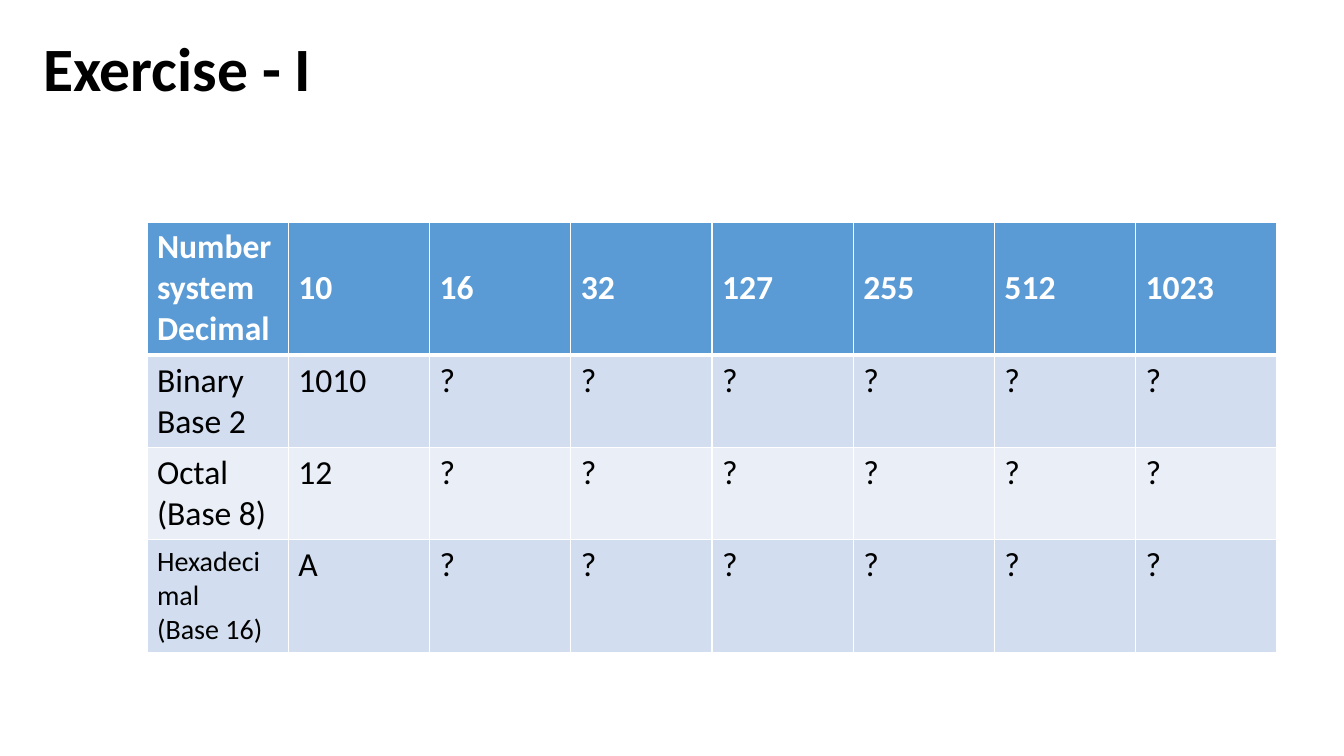
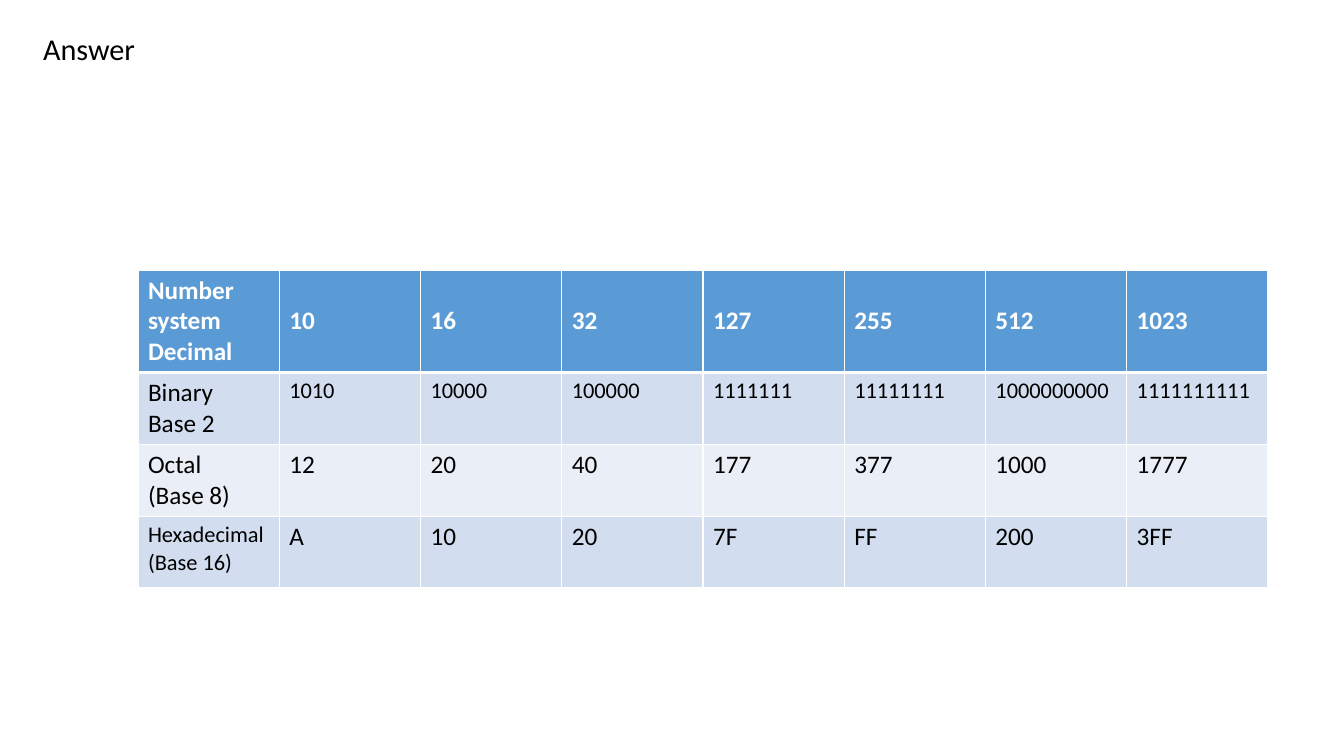
from dataclasses import dataclass

from lxml import etree
from pptx import Presentation
from pptx import util as u
from pptx.dml.color import RGBColor
from pptx.enum import text
from pptx.oxml.ns import qn


# Shared look
@dataclass(frozen=True)
class Theme:
    font: str = "Calibri"
    ink: str = "000000"
    paper: str = "FFFFFF"
    header: str = "5B9BD5"
    bands: tuple[str, str] = ("D2DEEF", "EAEFF7")
    rule: int = 1
    header_rule: int = 3


THEME = Theme()
EMU_PER_PX = 914400 / 100.8
DECIMALS = (10, 16, 32, 127, 255, 512, 1023)
HEADER_LABEL = ("Number system", "Decimal")


@dataclass(frozen=True)
class Base:
    label: tuple[str, str]
    code: str


BASES = (
    Base(("Binary", "Base 2"), "b"),
    Base(("Octal", "(Base 8)"), "o"),
    Base(("Hexadecimal", "(Base 16)"), "X"),
)


# What differs from slide to slide
@dataclass(frozen=True)
class Heading:
    words: str
    top: int
    height: int
    size: float
    bold: bool
    spacing: float


@dataclass(frozen=True)
class Exercise:
    heading: Heading
    left: int
    top: int
    row_heights: tuple[int, ...]
    header_size: int
    label_sizes: tuple[int, ...]
    value_sizes: tuple[int, ...]
    solved: int  # how many columns show their answer


EXERCISES = (
    Exercise(Heading("Exercise - I", 33, 152, 44, True, 0.9),
             147, 222, (132, 92, 92, 112), 24, (24, 24, 20), (24, 24, 24), 1),
    Exercise(Heading("Answer", 35, 96, 21.6, False, 0.7),
             138, 270, (102, 72, 72, 71), 18, (18, 18, 16), (16, 18, 18), len(DECIMALS)),
)


def px(length: float) -> u.Emu:
    return u.Emu(round(length * EMU_PER_PX))


def style_font(font, size: float, bold: bool, color: str) -> None:
    for name, value in {"name": THEME.font, "size": u.Pt(size), "bold": bold}.items():
        setattr(font, name, value)
    font.color.rgb = RGBColor.from_string(color)


def add_heading(slide, heading: Heading) -> None:
    title = slide.shapes.title
    place = {"left": 33, "top": heading.top, "width": 806, "height": heading.height}
    for name, value in place.items():
        setattr(title, name, px(value))
    frame = title.text_frame
    frame.text = heading.words
    frame.auto_size = text.MSO_AUTO_SIZE.NONE
    frame.vertical_anchor = text.MSO_ANCHOR.TOP
    line = frame.paragraphs[0]
    line.alignment = text.PP_ALIGN.LEFT
    line.line_spacing = heading.spacing
    style_font(line.runs[0].font, heading.size, heading.bold, THEME.ink)


def add_borders(cell, top: int, bottom: int) -> None:
    properties = cell._tc.get_or_add_tcPr()
    widths = {"a:lnL": THEME.rule, "a:lnR": THEME.rule, "a:lnT": top, "a:lnB": bottom}
    for side, width in widths.items():
        border = etree.SubElement(properties, qn(side), w=str(u.Pt(width)))
        fill = etree.SubElement(border, qn("a:solidFill"))
        etree.SubElement(fill, qn("a:srgbClr"), val=THEME.paper)


def fill_cell(cell, lines: tuple[str, ...], size: int, row: int) -> None:
    is_header = row == 0
    add_borders(cell,
                top=THEME.header_rule if row == 1 else THEME.rule,
                bottom=THEME.header_rule if is_header else THEME.rule)
    cell.fill.solid()
    background = THEME.header if is_header else THEME.bands[(row - 1) % 2]
    cell.fill.fore_color.rgb = RGBColor.from_string(background)
    cell.vertical_anchor = text.MSO_ANCHOR.MIDDLE if is_header else text.MSO_ANCHOR.TOP
    cell.text_frame.text = "\n".join(lines)
    for line in cell.text_frame.paragraphs:
        style_font(line.runs[0].font, size, is_header, THEME.paper if is_header else THEME.ink)


def add_number_table(slide, exercise: Exercise) -> None:
    grid = slide.shapes.add_table(
        len(BASES) + 1, len(DECIMALS) + 1, px(exercise.left), px(exercise.top),
        px(1130), px(sum(exercise.row_heights))).table
    for row, height in zip(grid.rows, exercise.row_heights):
        row.height = px(height)

    # Header row: the decimal numbers
    for column, words in enumerate([HEADER_LABEL, *((str(n),) for n in DECIMALS)]):
        fill_cell(grid.cell(0, column), words, exercise.header_size, 0)

    # One row for each base
    sizes = zip(BASES, exercise.label_sizes, exercise.value_sizes)
    for row, (base, label_size, value_size) in enumerate(sizes, 1):
        fill_cell(grid.cell(row, 0), base.label, label_size, row)
        for column, number in enumerate(DECIMALS, 1):
            answer = format(number, base.code) if column <= exercise.solved else "?"
            fill_cell(grid.cell(row, column), (answer,), value_size, row)


def main() -> None:
    deck = Presentation()
    deck.slide_width, deck.slide_height = px(1344), px(756)
    title_only = deck.slide_layouts[5]
    for exercise in EXERCISES:
        slide = deck.slides.add_slide(title_only)
        add_number_table(slide, exercise)
        add_heading(slide, exercise.heading)
    deck.save("out.pptx")


if __name__ == "__main__":
    main()
